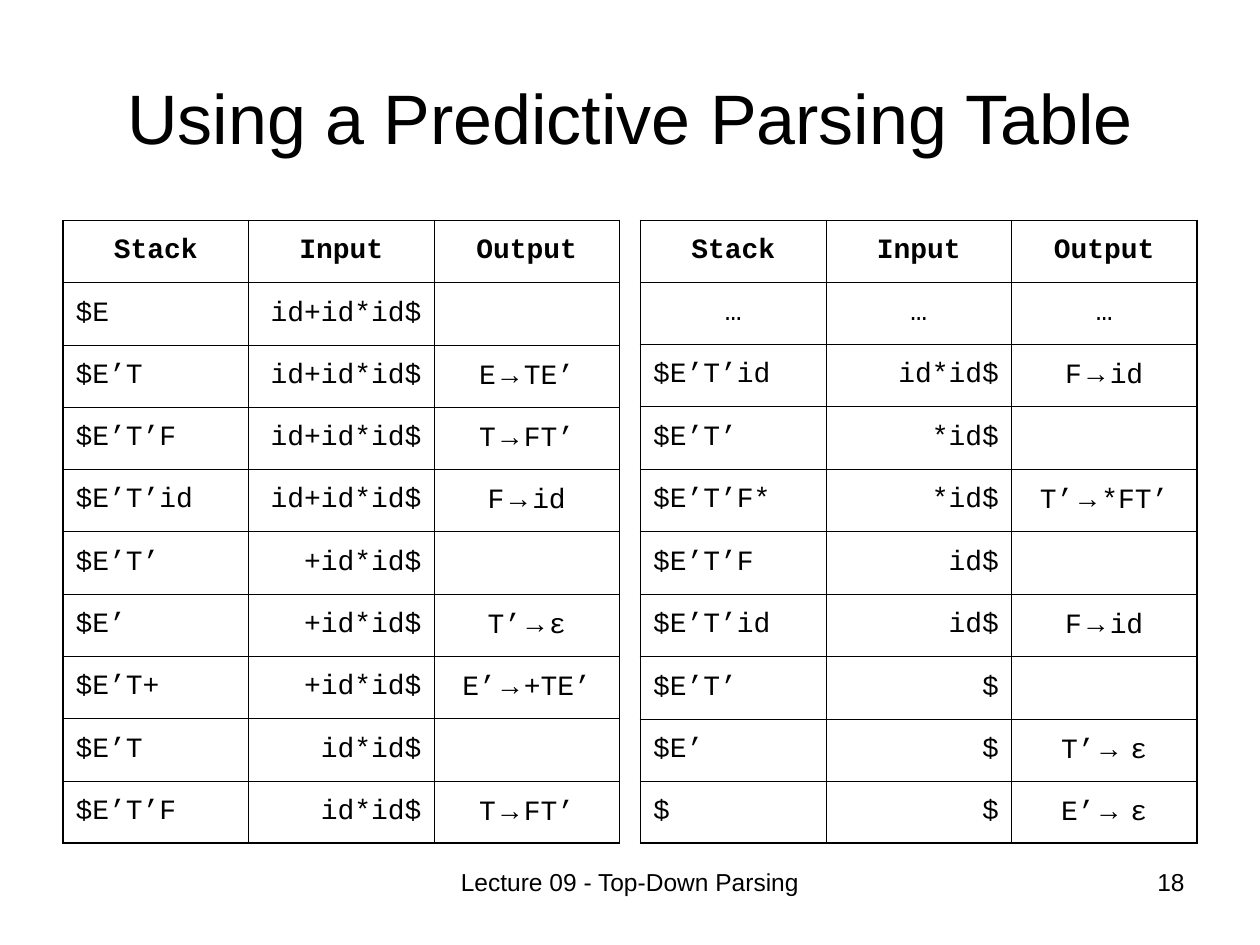
from dataclasses import dataclass

from lxml.etree import SubElement
from pptx import Presentation
from pptx.dml.color import RGBColor
from pptx.enum.text import MSO_ANCHOR as Anchor, PP_ALIGN as Align
from pptx.oxml.ns import qn
from pptx.util import Inches, Pt

COLUMNS, ROWS = 120, 90  # slide grid, twelve units to the inch


@dataclass(frozen=True)
class Theme:
    ink: str = "000000"
    sans: str = "Arial"
    mono: str = "Courier New"
    title: int = 40
    body: int = 16
    footer: int = 14
    empty_cell: int = 24
    space_before: int = 4
    outer_line: float = 1.08
    inner_line: float = 0.45


HEADER = ("Stack", "Input", "Output")
FIRST_MOVES = (
    ("$E", "id+id*id$", ""),
    ("$E’T", "id+id*id$", "E→TE’"),
    ("$E’T’F", "id+id*id$", "T→FT’"),
    ("$E’T’id", "id+id*id$", "F→id"),
    ("$E’T’", "+id*id$", ""),
    ("$E’", "+id*id$", "T’→ε"),
    ("$E’T+", "+id*id$", "E’→+TE’"),
    ("$E’T", "id*id$", ""),
    ("$E’T’F", "id*id$", "T→FT’"),
)
LAST_MOVES = (
    ("…", "…", "…"),
    ("$E’T’id", "id*id$", "F→id"),
    ("$E’T’", "*id$", ""),
    ("$E’T’F*", "*id$", "T’→*FT’"),
    ("$E’T’F", "id$", ""),
    ("$E’T’id", "id$", "F→id"),
    ("$E’T’", "$", ""),
    ("$E’", "$", "T’→ ε"),
    ("$", "$", "E’→ ε"),
)


class SlideBuilder:
    def __init__(self, presentation, theme):
        self.theme = theme
        self.slide = presentation.slides.add_slide(presentation.slide_layouts[6])
        self.unit_x = presentation.slide_width / COLUMNS
        self.unit_y = presentation.slide_height / ROWS

    def place(self, column, row, width, height):
        """Turn grid units into left, top, width and height."""
        return (round(column * self.unit_x), round(row * self.unit_y),
                round(width * self.unit_x), round(height * self.unit_y))

    def style(self, run, font, size, bold=False):
        run.font.name = font
        run.font.size = Pt(size)
        run.font.bold = bold
        run.font.color.rgb = RGBColor.from_string(self.theme.ink)

    def text(self, text, area, size, align, anchor=Anchor.TOP):
        frame = self.slide.shapes.add_textbox(*self.place(*area)).text_frame
        frame.word_wrap = True
        frame.vertical_anchor = anchor
        frame.text = text
        paragraph = frame.paragraphs[0]
        paragraph.alignment = align
        self.style(paragraph.runs[0], self.theme.sans, size)

    def table(self, records, area):
        row_count, column_count = len(records), len(records[0])
        table = self.slide.shapes.add_table(
            row_count, column_count, *self.place(*area)).table
        table.first_row = table.horz_banding = False
        for i, record in enumerate(records):
            for j, text in enumerate(record):
                cell = table.cell(i, j)
                outer_sides = {"L": j == 0, "R": j == column_count - 1,
                               "T": i == 0, "B": i == row_count - 1}
                self.borders(cell, outer_sides)
                cell.fill.background()
                cell.vertical_anchor = Anchor.MIDDLE
                centred = i == 0 or text == "…"
                align = Align.CENTER if centred else (
                    Align.LEFT, Align.RIGHT, Align.CENTER)[j]
                self.cell_text(cell, text, align, bold=i == 0)

    def borders(self, cell, outer_sides):
        properties = cell._tc.get_or_add_tcPr()
        for side, outer in outer_sides.items():
            width = self.theme.outer_line if outer else self.theme.inner_line
            line = SubElement(properties, qn(f"a:ln{side}"), w=str(Pt(width)))
            fill = SubElement(line, qn("a:solidFill"))
            SubElement(fill, qn("a:srgbClr"), val=self.theme.ink)

    def cell_text(self, cell, text, align, bold):
        """Write a cell, setting the production arrow in the sans font."""
        theme = self.theme
        paragraph = cell.text_frame.paragraphs[0]
        paragraph.alignment = align
        paragraph.space_before = Pt(theme.space_before)
        if not text:
            SubElement(paragraph._p, qn("a:endParaRPr"),
                       sz=str(theme.empty_cell * 100))
            return
        left, arrow, right = text.partition("→")
        if right.startswith(" "):
            arrow, right = arrow + " ", right[1:]
        for part, font in ((left, theme.mono), (arrow, theme.sans), (right, theme.mono)):
            if part:
                run = paragraph.add_run()
                run.text = part
                self.style(run, font, theme.body, bold)


def main():
    presentation = Presentation()
    presentation.slide_width, presentation.slide_height = Inches(10), Inches(7.5)
    theme = Theme()
    builder = SlideBuilder(presentation, theme)

    builder.text("Using a Predictive Parsing Table", (6, 3.6, 108, 15),
                 theme.title, Align.CENTER, Anchor.MIDDLE)
    for column, moves in ((6, FIRST_MOVES), (61, LAST_MOVES)):
        builder.table((HEADER, *moves), (column, 21, 53, 59))
    builder.text("Lecture 09 - Top-Down Parsing", (41, 82, 38, 6.25),
                 theme.footer, Align.CENTER)
    builder.text("18", (86, 82, 28, 6.25), theme.footer, Align.RIGHT)

    presentation.save("out.pptx")


if __name__ == "__main__":
    main()
